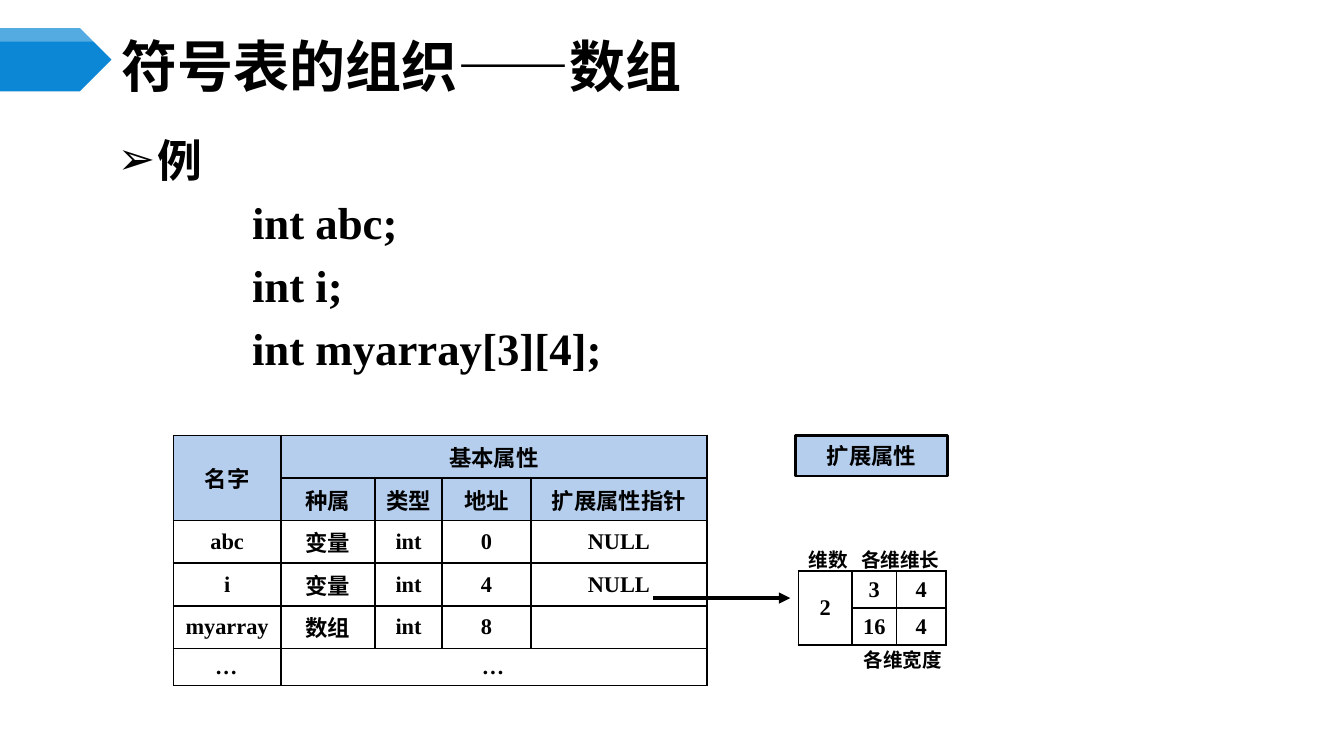
from lxml.etree import SubElement
from pptx import Presentation
from pptx.dml.color import RGBColor
from pptx.enum.shapes import MSO_CONNECTOR, MSO_SHAPE
from pptx.enum.text import MSO_ANCHOR, MSO_AUTO_SIZE, PP_ALIGN
from pptx.oxml.ns import qn
from pptx.util import Inches, Pt

SANS, SERIF, LABEL = "Noto Sans CJK SC", "Times New Roman", "Calibri"
BLACK, WHITE, BLUE, PALE = "000000", "FFFFFF", "0B87D6", "B5CEED"


def color(value):
    return RGBColor.from_string(value)


def add_xml(parent, tag, **attrs):
    return SubElement(parent, qn(tag), attrs)


def write(p, text, size=12, font=SANS, align=PP_ALIGN.LEFT, italic=None):
    """Put one bold black run into a paragraph."""
    p.alignment = align
    r = p.add_run()
    r.text = text
    r.font.size, r.font.name = Pt(size), font
    r.font.bold, r.font.italic = True, italic
    r.font.color.rgb = color(BLACK)
    add_xml(r.font._element, "a:ea", typeface=SANS)


def set_margins(item):
    item.margin_left = item.margin_right = Pt(5.4)
    item.margin_top = item.margin_bottom = Pt(2.7)


def prepare_placeholder(sp, box, anchor):
    """Move a placeholder and return its text frame."""
    sp.left, sp.top, sp.width, sp.height = map(Inches, box)
    tf = sp.text_frame
    tf.auto_size, tf.vertical_anchor = MSO_AUTO_SIZE.NONE, anchor
    set_margins(tf)
    return tf


def add_block(slide, kind, box, fill, line=None):
    sp = slide.shapes.add_shape(kind, *map(Inches, box))
    sp.shadow.inherit = False
    sp.fill.solid()
    sp.fill.fore_color.rgb = color(fill)
    if line:
        sp.line.color.rgb, sp.line.width = color(BLACK), Pt(line)
    else:
        sp.line.fill.background()
    return sp


def add_banner(slide):
    add_block(slide, MSO_SHAPE.PENTAGON, (0, 0.21, 0.83, 0.47), BLUE)
    gloss = add_block(slide, MSO_SHAPE.PENTAGON, (0, 0.21, 0.83, 0.1), WHITE)
    rgb = gloss.fill._xPr.find(qn("a:solidFill"))[0]
    add_xml(rgb, "a:alpha", val="30000")


def add_title(slide, text):
    tf = prepare_placeholder(slide.shapes.title, (0.83, 0.29, 8.67, 0.39),
                             MSO_ANCHOR.MIDDLE)
    write(tf.paragraphs[0], text, size=30)


def add_body(slide, heading, code):
    tf = prepare_placeholder(slide.placeholders[1], (0.47, 0.93, 9.22, 3.53),
                             MSO_ANCHOR.TOP)
    for i, text in enumerate([heading, *code]):
        p = tf.add_paragraph() if i else tf.paragraphs[0]
        p.level, p.space_before = 1, Pt(4.8)
        p.line_spacing = 1.0 if i else Pt(30)
        pPr = p._p.get_or_add_pPr()
        pPr.set("marL", str(Inches(1.33 if i else 0.63)))
        pPr.set("indent", str(Inches(0 if i else -0.3)))
        if i:
            add_xml(pPr, "a:buNone")
        else:
            add_xml(pPr, "a:buChar", char="➢")
        write(p, text, size=24, font=SERIF)


def add_borders(cell):
    tcPr = cell._tc.get_or_add_tcPr()
    for side in ("a:lnL", "a:lnR", "a:lnT", "a:lnB"):
        ln = add_xml(tcPr, side, w=str(Pt(1)))
        add_xml(add_xml(ln, "a:solidFill"), "a:srgbClr", val=BLACK)


def add_grid(slide, left, top, widths, rows, merges, header_rows=0):
    """Draw a bordered table; merges lists (first cell, last cell) pairs."""
    height = Pt(19.8)
    table = slide.shapes.add_table(
        len(rows), len(widths), Inches(left), Inches(top),
        Inches(sum(widths)), height * len(rows)).table
    table.first_row = table.horz_banding = False
    for column, width in zip(table.columns, widths):
        column.width = Inches(width)
    for i, row in enumerate(rows):
        table.rows[i].height = height
        for j, text in enumerate(row):
            cell = table.cell(i, j)
            set_margins(cell)
            cell.vertical_anchor = MSO_ANCHOR.MIDDLE
            add_borders(cell)
            if i < header_rows:
                cell.fill.solid()
                cell.fill.fore_color.rgb = color(PALE)
            else:
                cell.fill.background()
            p = cell.text_frame.paragraphs[0]
            if text:
                write(p, text, font=SANS if text >= "一" else SERIF,
                      align=PP_ALIGN.CENTER, italic=text == "…" or None)
            else:
                p._p.get_or_add_endParaRPr().set("sz", "1200")
    for first, last in merges:
        table.cell(*first).merge(table.cell(*last))


def add_label(slide, text, left, top, width):
    sp = slide.shapes.add_textbox(*map(Inches, (left, top, width, 0.28)))
    tf = sp.text_frame
    tf.word_wrap = True
    write(tf.paragraphs[0], text, size=10.5, font=LABEL)


def add_arrow(slide, x1, x2, y):
    line = slide.shapes.add_connector(
        MSO_CONNECTOR.STRAIGHT, Inches(x1), Inches(y), Inches(x2), Inches(y))
    line.line.color.rgb, line.line.width = color(BLACK), Pt(2)
    add_xml(line.line._get_or_add_ln(), "a:tailEnd", type="triangle")
    add_xml(line._element.spPr, "a:effectLst")


def main():
    prs = Presentation()
    prs.slide_width, prs.slide_height = Inches(10), Inches(10 * 9 / 16)
    slide = prs.slides.add_slide(prs.slide_layouts[1])

    # Heading and declarations
    add_banner(slide)
    add_title(slide, "符号表的组织——数组")
    add_body(slide, "例", ["int abc;", "int i;", "int myarray[3][4];"])

    # Symbol table
    add_grid(slide, 1.29, 3.24, [0.8, 0.7, 0.5, 0.66, 1.31], [
        ["名字", "基本属性", "", "", ""],
        ["", "种属", "类型", "地址", "扩展属性指针"],
        ["abc", "变量", "int", "0", "NULL"],
        ["i", "变量", "int", "4", "NULL"],
        ["myarray", "数组", "int", "8", ""],
        ["…", "…", "", "", ""],
    ], [((0, 0), (1, 0)), ((0, 1), (0, 4)), ((5, 1), (5, 4))], header_rows=2)

    # Array dimensions: lengths above widths
    add_grid(slide, 5.94, 4.25, [0.4, 0.33, 0.37],
             [["2", "3", "4"], ["", "16", "4"]], [((0, 0), (1, 0))])
    add_arrow(slide, 4.86, 5.88, 4.45)

    # Extended attribute labels
    add_label(slide, "各维宽度", 6.33, 4.77, 0.82)
    box = add_block(slide, MSO_SHAPE.RECTANGLE, (5.92, 3.24, 1.13, 0.3),
                    PALE, line=1.25)
    write(box.text_frame.paragraphs[0], "扩展属性", font=LABEL,
          align=PP_ALIGN.CENTER)
    add_label(slide, "维数", 5.92, 4.03, 0.5)
    add_label(slide, "各维维长", 6.31, 4.03, 0.83)

    prs.save("out.pptx")


if __name__ == "__main__":
    main()
